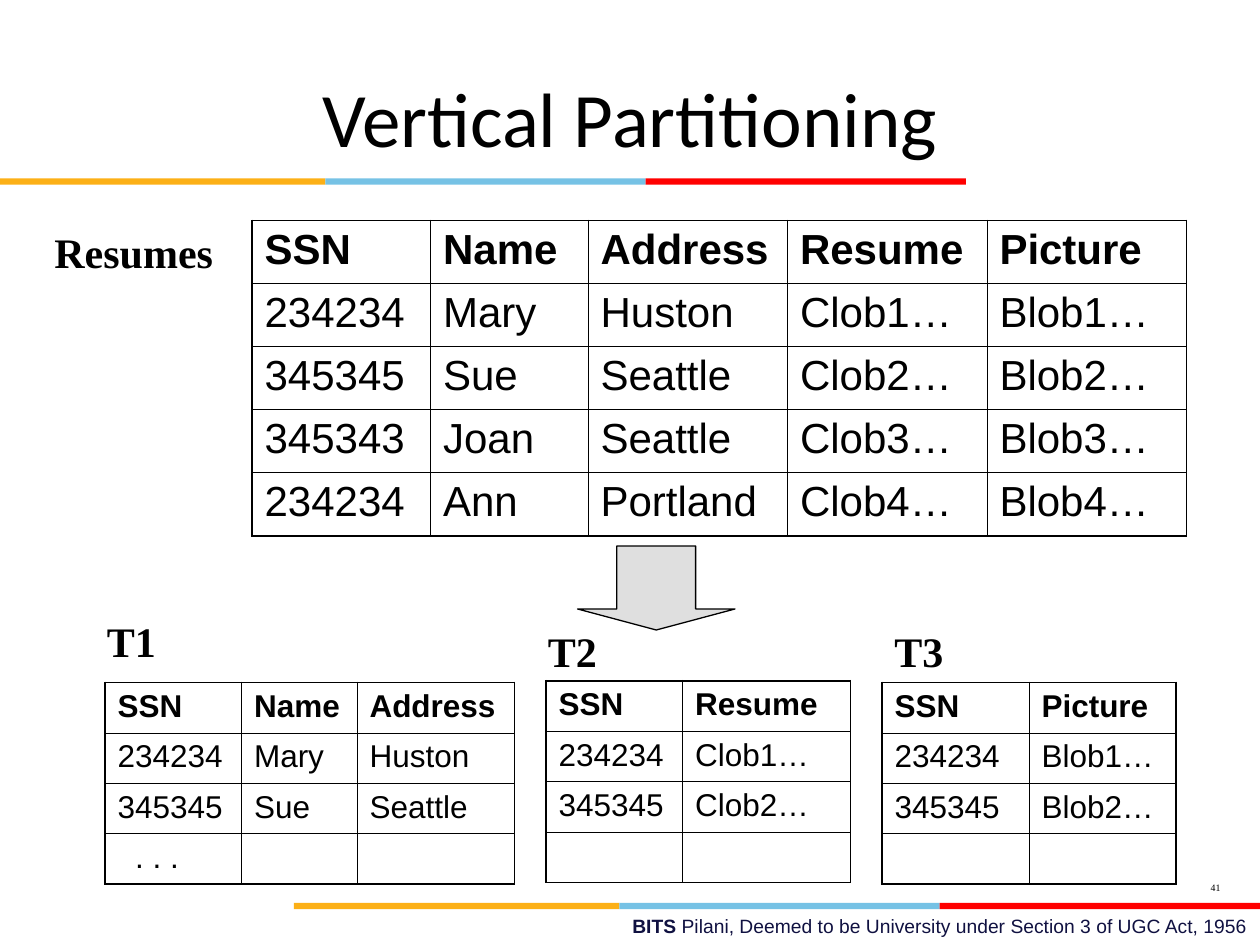
from dataclasses import dataclass

from lxml import etree
from pptx import Presentation
from pptx.dml.color import RGBColor
from pptx.enum.shapes import MSO_SHAPE
from pptx.enum.text import MSO_ANCHOR, PP_ALIGN
from pptx.oxml.ns import qn
from pptx.util import Pt

RECTANGLE, DOWN_ARROW = MSO_SHAPE.RECTANGLE, MSO_SHAPE.DOWN_ARROW
LEFT, CENTER, RIGHT = PP_ALIGN.LEFT, PP_ALIGN.CENTER, PP_ALIGN.RIGHT
TOP, MIDDLE = MSO_ANCHOR.TOP, MSO_ANCHOR.MIDDLE

BLACK = "000000"
OUTER_BORDER, INNER_BORDER = 1.08, 0.45
ELLIPSIS_INDENT = 10


@dataclass
class Label:
    text: str
    left: float
    top: float
    width: float
    height: float
    size: float
    font: str = "Times New Roman"
    bold: bool = False
    color: str = BLACK
    align: PP_ALIGN = LEFT
    anchor: MSO_ANCHOR = TOP
    wrap: bool = True


@dataclass
class Grid:
    left: float
    top: float
    columns: list[float]
    row_height: float
    size: float
    rows: list[list[str]]


def color_of(value: str) -> RGBColor:
    return RGBColor.from_string(value)


def style_span(span, size: float, font: str, bold: bool, color: str) -> None:
    span.font.size = Pt(size)
    span.font.name = font
    span.font.bold = bold
    span.font.color.rgb = color_of(color)


def add_label(page, label: Label):
    box = page.shapes.add_textbox(
        Pt(label.left), Pt(label.top), Pt(label.width), Pt(label.height))
    frame = box.text_frame
    frame.word_wrap = label.wrap
    frame.vertical_anchor = label.anchor
    frame.text = label.text
    para = frame.paragraphs[0]
    para.alignment = label.align
    style_span(para.runs[0], label.size, label.font, label.bold, label.color)
    return para


def add_stripe(page, left: float, top: float) -> None:
    for color, width in (("FCB017", 186), ("76C2E5", 183), ("FF0000", 183)):
        bar = page.shapes.add_shape(RECTANGLE, Pt(left), Pt(top), Pt(width), Pt(3.6))
        bar.shadow.inherit = False
        bar.fill.solid()
        bar.fill.fore_color.rgb = color_of(color)
        bar.line.fill.background()
        left += width


def add_border(cell, side: str, width: float) -> None:
    properties = cell._tc.get_or_add_tcPr()
    line = etree.SubElement(properties, qn(f"a:ln{side}"), w=str(Pt(width)))
    fill = etree.SubElement(line, qn("a:solidFill"))
    etree.SubElement(fill, qn("a:srgbClr"), val=BLACK)


def add_grid(page, grid: Grid) -> None:
    row_count, column_count = len(grid.rows), len(grid.columns)
    table = page.shapes.add_table(
        row_count, column_count, Pt(grid.left), Pt(grid.top),
        Pt(sum(grid.columns)), Pt(grid.row_height * row_count)).table
    table.first_row = table.horz_banding = False
    for column, width in zip(table.columns, grid.columns):
        column.width = Pt(width)
    for r, texts in enumerate(grid.rows):
        table.rows[r].height = Pt(grid.row_height)
        for c, text in enumerate(texts):
            cell = table.cell(r, c)
            edges = {"L": c == 0, "R": c == column_count - 1,
                     "T": r == 0, "B": r == row_count - 1}
            for side, is_outer in edges.items():
                add_border(cell, side, OUTER_BORDER if is_outer else INNER_BORDER)
            cell.fill.background()
            if text == ". . .":
                cell.margin_left += Pt(ELLIPSIS_INDENT)
            cell.text_frame.text = text
            para = cell.text_frame.paragraphs[0]
            para.font.size = Pt(grid.size)
            for span in para.runs:
                style_span(span, grid.size, "Arial", r == 0, BLACK)


def add_arrow(page) -> None:
    arrow = page.shapes.add_shape(DOWN_ARROW, Pt(330), Pt(312), Pt(90), Pt(48))
    arrow.adjustments[0], arrow.adjustments[1] = 0.5, 0.25
    arrow.shadow.inherit = False
    arrow.fill.solid()
    arrow.fill.fore_color.rgb = color_of("C0C0C0")
    tint = arrow.fill._xPr.find(f".//{qn('a:srgbClr')}")
    etree.SubElement(tint, qn("a:alpha"), val="50000")
    arrow.line.color.rgb = color_of(BLACK)
    arrow.line.width = Pt(0.75)


RESUMES = [
    ["SSN", "Name", "Address", "Resume", "Picture"],
    ["234234", "Mary", "Huston", "Clob1…", "Blob1…"],
    ["345345", "Sue", "Seattle", "Clob2…", "Blob2…"],
    ["345343", "Joan", "Seattle", "Clob3…", "Blob3…"],
    ["234234", "Ann", "Portland", "Clob4…", "Blob4…"],
]


def partition(columns: list[int], last_row: list[str]) -> list[list[str]]:
    """Keep the chosen columns of the first rows and close with last_row."""
    return [[row[c] for c in columns] for row in RESUMES[:3]] + [last_row]


GRIDS = [
    Grid(144, 126, [102, 90, 114, 114, 114], 36, 24, RESUMES),
    Grid(60, 390, [78, 66, 90], 28.8, 18, partition([0, 1, 2], [". . .", "", ""])),
    Grid(312, 389, [78, 96], 28.8, 18, partition([0, 3], ["", ""])),
    Grid(504, 390, [84, 84], 28.8, 18, partition([0, 4], ["", ""])),
]

TABLE_NAMES = [
    Label(text, left, top, width, 36, 24, bold=True, wrap=False)
    for text, left, top, width in (
        ("Resumes", 24, 126, 105), ("T1", 54, 348, 42.5),
        ("T2", 306, 354, 42.5), ("T3", 504, 354, 42.5))
]


def main() -> None:
    deck = Presentation()
    deck.slide_width, deck.slide_height = Pt(720), Pt(540)
    page = deck.slides.add_slide(deck.slide_layouts[6])

    # Footer and stripes
    footer = add_label(page, Label("BITS ", 258, 519, 462, 21, 11, "Arial",
                                   True, "101141", RIGHT))
    span = footer.add_run()
    span.text = "Pilani, Deemed to be University under Section 3 of UGC Act, 1956"
    style_span(span, 11, "Arial", False, "101141")
    add_stripe(page, 168, 516)
    add_stripe(page, 0, 102)

    # Page number and title
    number = add_label(page, Label("41", 536.5, 500.5, 168, 15, 5.6,
                                   align=RIGHT, anchor=MIDDLE))
    number.line_spacing = 0.8
    add_label(page, Label("Vertical Partitioning", 36, 21.6, 648, 90, 44,
                          "Calibri", align=CENTER, anchor=MIDDLE))

    # Full table, its partitions and their names
    for grid in GRIDS:
        add_grid(page, grid)
    for name in TABLE_NAMES:
        add_label(page, name)
    add_arrow(page)

    deck.save("out.pptx")


if __name__ == "__main__":
    main()
